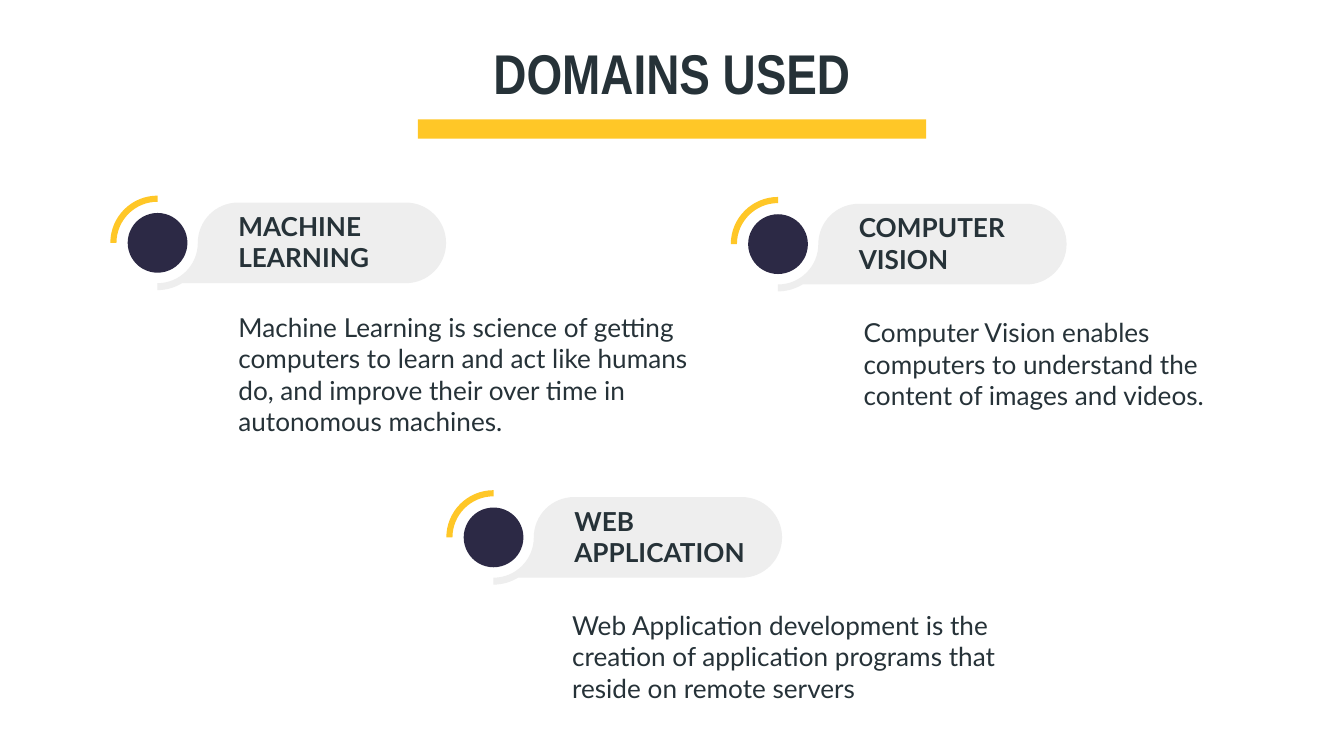
from math import asin, cos, degrees, radians, sin, tan

from pptx import Presentation
from pptx.dml.color import RGBColor
from pptx.enum.shapes import MSO_SHAPE
from pptx.enum.text import MSO_ANCHOR, MSO_AUTO_SIZE, PP_ALIGN
from pptx.oxml.xmlchemy import OxmlElement
from pptx.util import Pt

INK, YELLOW, NAVY, GREY = "263238", "FFC727", "2C2945", "EEEEEE"
TOP, MIDDLE = MSO_ANCHOR.TOP, MSO_ANCHOR.MIDDLE

presentation = Presentation()
presentation.slide_width, presentation.slide_height = Pt(720), Pt(405)
slide = presentation.slides.add_slide(presentation.slide_layouts[6])


def paint(shape, color):
    shape.shadow.inherit = False
    shape.fill.solid()
    shape.fill.fore_color.rgb = RGBColor.from_string(color)
    shape.line.fill.background()


def add_text(text, box, anchor=TOP, font="Lato", size=14, bold=False, align=PP_ALIGN.LEFT):
    text_frame = slide.shapes.add_textbox(*map(Pt, box)).text_frame
    text_frame.word_wrap = True
    text_frame.vertical_anchor = anchor
    text_frame.margin_left = text_frame.margin_right = Pt(7.2)
    text_frame.margin_top = text_frame.margin_bottom = Pt(7.2)
    text_frame.text = text
    for paragraph in text_frame.paragraphs:
        paragraph.alignment = align
        for run in paragraph.runs:
            run.font.name, run.font.size, run.font.bold = font, Pt(size), bold
            run.font.color.rgb = RGBColor.from_string(INK)
    return text_frame


# Title and its underline
add_text("DOMAINS USED", (53.3, 13.4, 613.4, 51.1), font="Arial Narrow", size=30,
         bold=True, align=PP_ALIGN.CENTER)
underline = slide.shapes.add_shape(MSO_SHAPE.RECTANGLE, Pt(223.9), Pt(64), Pt(272.2), Pt(10.3))
paint(underline, YELLOW)

# Radii of the disc, the pill ends and the ring, and the pill's right end centre
DISC, PILL, RING_INNER, RING = 16, 21.6, 22, 25.3
PILL_END = 133

# Outlines as arcs: centre offset, radius, start and end angle (clockwise from the right)
ring_arcs = [(0, RING, 270, 180), (0, RING_INNER, 180, 270)]
pill_arcs = [
    (2 * PILL, PILL, 270, 180),
    (0, PILL, 0, 90),
    (0, RING, 90, degrees(asin(PILL / RING))),
    (PILL_END, PILL, 90, 0),
    (PILL_END, PILL, 0, -90),
]

# Domains: disc centre, heading, description and its box
domains = [
    (84.4, 130.1, "MACHINE\nLEARNING",
     "Machine Learning is science of getting computers to learn and act like humans do, "
     "and improve their over time in autonomous machines.", (120.6, 188.5, 272.2, 23.8)),
    (416.8, 130.8, "COMPUTER\nVISION",
     "Computer Vision enables computers to understand the content of images and videos.",
     (455.6, 183, 209.5, 23.8)),
    (264.4, 287.9, "WEB\nAPPLICATION",
     "Web Application development is the creation of application programs that reside "
     "on remote servers", (299.4, 339.8, 253.4, 23.8)),
]

for center_x, center_y, heading, description, box in domains:
    marker = slide.shapes.add_group_shape()

    # Ring quarter and pill, one Bézier curve for each arc
    for arcs, color in ((ring_arcs, YELLOW), (pill_arcs, GREY)):
        points, curve_starts = [], []
        for offset, radius, start, end in arcs:
            first, last = radians(start), radians(end)
            pull = 4 / 3 * tan((last - first) / 4)
            for angle, reach in ((first, 0), (first, pull), (last, -pull), (last, 0)):
                x = center_x + offset + radius * (cos(angle) - reach * sin(angle))
                y = center_y + radius * (sin(angle) + reach * cos(angle))
                point = Pt(round(x, 2)), Pt(round(y, 2))
                if not points or point != points[-1]:
                    points.append(point)
            curve_starts.append(len(points) - 4)
        builder = marker.shapes.build_freeform(*points[0])
        builder.add_line_segments(points[1:], close=True)
        outline = builder.convert_to_shape()
        paint(outline, color)

        # Join the three segments of each arc into a curve
        segments = outline._element.xpath(".//a:lnTo")
        for index in curve_starts:
            curve = OxmlElement("a:cubicBezTo")
            segments[index].addprevious(curve)
            for segment in segments[index:index + 3]:
                curve.append(segment[0])
                segment.getparent().remove(segment)

    # Disc
    disc = marker.shapes.add_shape(MSO_SHAPE.OVAL, Pt(center_x - DISC), Pt(center_y - DISC),
                                   Pt(2 * DISC), Pt(2 * DISC))
    paint(disc, NAVY)

    # Heading and description
    heading_frame = add_text(heading, (center_x + 36.2, center_y - 24.5, 154.8, 48.2), bold=True)
    heading_frame.auto_size = MSO_AUTO_SIZE.SHAPE_TO_FIT_TEXT
    add_text(description, box, anchor=MIDDLE)

presentation.save("out.pptx")
